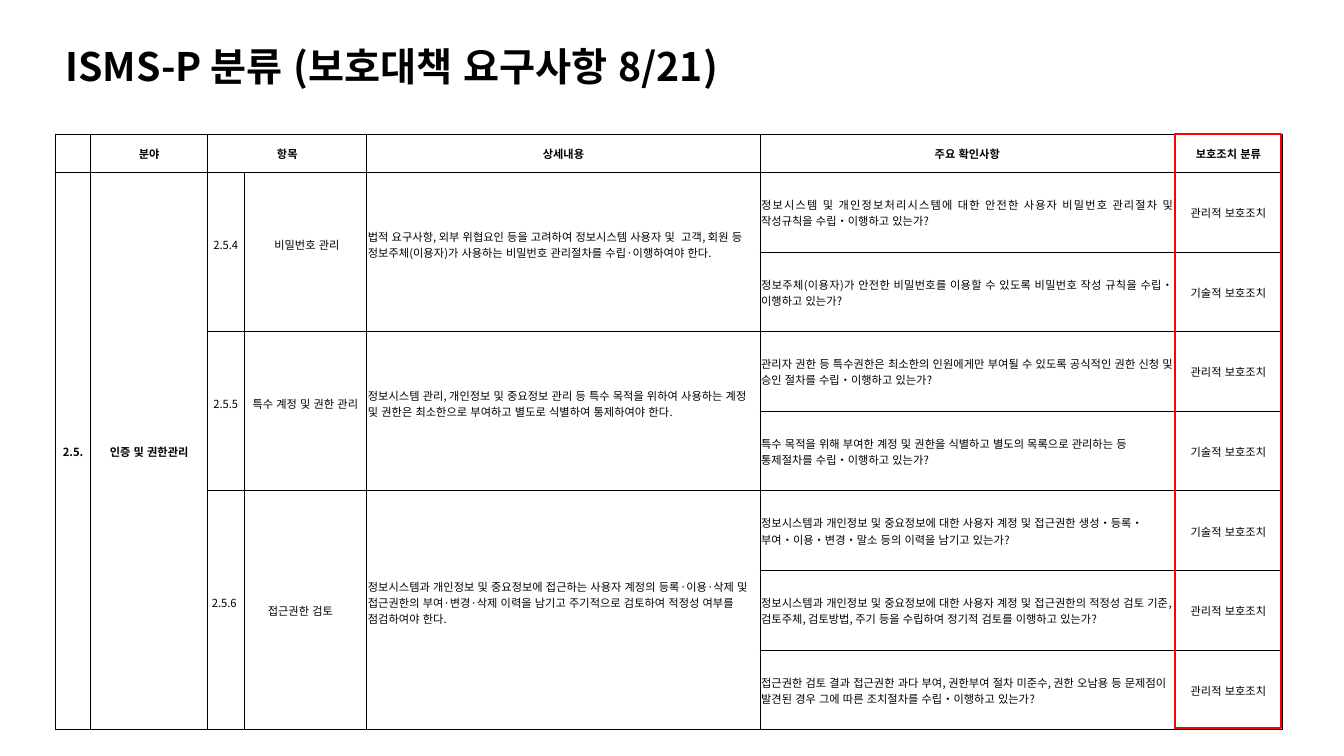
from lxml.etree import SubElement as Sub
from pptx import Presentation
from pptx.dml.color import RGBColor as Color
from pptx.enum.lang import MSO_LANGUAGE_ID as Lang
from pptx.enum.shapes import MSO_SHAPE as Shape
from pptx.enum.text import MSO_ANCHOR as Anchor, PP_ALIGN as Align
from pptx.oxml import parse_xml
from pptx.oxml.ns import nsdecls, qn
from pptx.util import Inches, Pt

BLACK = Color(0, 0, 0)
RED = Color(255, 0, 0)
FACE = "Noto Sans CJK KR"
LEFT, MID, JUST = Align.LEFT, Align.CENTER, Align.JUSTIFY
LINE = 0.16

TITLE = "ISMS-P 분류 (보호대책 요구사항 8/21)"
HEADS = {1: "분야", 2: "항목", 4: "상세내용", 5: "주요 확인사항", 6: "보호조치 분류"}
WIDTHS = [0.35, 1.16, 0.36, 1.22, 3.9, 4.11, 1.07]
HEAD_H, ROW_H = 0.38, 0.79
ADMIN, TECH = "관리적 보호조치", "기술적 보호조치"
FIELD = ["2.5.", "인증 및 권한관리"]

ITEMS = [
    {
        "cells": ["2.5.4", "비밀번호 관리",
                  "법적 요구사항, 외부 위협요인 등을 고려하여 정보시스템 사용자 및  고객, 회원 등 정보주체(이용자)가 사용하는 비밀번호 관리절차를 수립·이행하여야 한다."],
        "pads": [{}, {"left": 0.04}, {}],
        "checks": [
            ("정보시스템 및 개인정보처리시스템에 대한 안전한 사용자 비밀번호 관리절차 및 작성규칙을 수립‧이행하고 있는가?", JUST, ADMIN),
            ("정보주체(이용자)가 안전한 비밀번호를 이용할 수 있도록 비밀번호 작성 규칙을 수립‧이행하고 있는가?", JUST, TECH),
        ],
    },
    {
        "cells": ["2.5.5", "특수 계정 및 권한 관리",
                  "정보시스템 관리, 개인정보 및 중요정보 관리 등 특수 목적을 위하여 사용하는 계정 및 권한은 최소한으로 부여하고 별도로 식별하여 통제하여야 한다."],
        "pads": [{}, {}, {}],
        "checks": [
            ("관리자 권한 등 특수권한은 최소한의 인원에게만 부여될 수 있도록 공식적인 권한 신청 및 승인 절차를 수립‧이행하고 있는가?", JUST, ADMIN),
            ("특수 목적을 위해 부여한 계정 및 권한을 식별하고 별도의 목록으로 관리하는 등 통제절차를 수립‧이행하고 있는가?", LEFT, TECH),
        ],
    },
    {
        "cells": ["2.5.6", "접근권한 검토",
                  "정보시스템과 개인정보 및 중요정보에 접근하는 사용자 계정의 등록·이용·삭제 및 접근권한의 부여·변경·삭제 이력을 남기고 주기적으로 검토하여 적정성 여부를 점검하여야 한다."],
        "pads": [{"right": 0.04}, {"right": 0.11, "bottom": 0}, {}],
        "checks": [
            ("정보시스템과 개인정보 및 중요정보에 대한 사용자 계정 및 접근권한 생성‧등록‧부여‧이용‧변경‧말소 등의 이력을 남기고 있는가?", LEFT, TECH),
            ("정보시스템과 개인정보 및 중요정보에 대한 사용자 계정 및 접근권한의 적정성 검토 기준, 검토주체, 검토방법, 주기 등을 수립하여 정기적 검토를 이행하고 있는가?", LEFT, ADMIN),
            ("접근권한 검토 결과 접근권한 과다 부여, 권한부여 절차 미준수, 권한 오남용 등 문제점이 발견된 경우 그에 따른 조치절차를 수립‧이행하고 있는가?", LEFT, ADMIN),
        ],
    },
]


def write(frame, text, size, bold, align=LEFT):
    para = frame.paragraphs[0]
    para.alignment = align
    run = para.add_run()
    run.text = text
    look = {"name": FACE, "size": Pt(size), "bold": bold, "language_id": Lang.KOREAN}
    for key, val in look.items():
        setattr(run.font, key, val)
    run.font.color.rgb = BLACK
    Sub(run.font._element, qn("a:ea"), typeface=FACE)


def pad(cell, **sides):
    for side, size in sides.items():
        setattr(cell, f"margin_{side}", Inches(size))


def edge(cell, first, last):
    cell.fill.background()
    props = cell._tc.get_or_add_tcPr()
    sides = {"L": 1 if first else 0.75, "R": 1 if last else 0.75, "T": 0.75, "B": 0.75}
    for spot, (side, size) in enumerate(sides.items()):
        props.insert(spot, parse_xml(
            f'<a:ln{side} {nsdecls("a")} w="{Pt(size)}"><a:solidFill>'
            f'<a:srgbClr val="{BLACK}"/></a:solidFill></a:ln{side}>'))


def add_title(slide, box):
    frame = slide.shapes.add_textbox(*map(Inches, box)).text_frame
    frame.word_wrap = True
    write(frame, TITLE, 28, True)


def add_grid(slide, box):
    count = sum(len(item["checks"]) for item in ITEMS)
    frame = slide.shapes.add_table(count + 1, len(WIDTHS), *map(Inches, box))
    grid = frame.table
    grid.first_row = grid.horz_banding = False
    for col, width in zip(grid.columns, WIDTHS):
        col.width = Inches(width)
    for num, row in enumerate(grid.rows):
        row.height = Inches(ROW_H if num else HEAD_H)
        for col, cell in enumerate(row.cells):
            edge(cell, col == 0, col == len(WIDTHS) - 1)
            inset = 0.01 if num else 0
            pad(cell, left=inset, right=inset, top=inset, bottom=0)
            cell.vertical_anchor = Anchor.MIDDLE

    def put(row, col, text, bold=False, align=MID):
        cell = grid.cell(row, col)
        write(cell.text_frame, text, 8, bold, align)
        return cell

    grid.cell(0, 2).merge(grid.cell(0, 3))
    for col, text in HEADS.items():
        put(0, col, text, True)
    for col, text in enumerate(FIELD):
        put(1, col, text, True).merge(grid.cell(count, col))
    top = 1
    for item in ITEMS:
        end = top + len(item["checks"]) - 1
        for col, (text, sides) in enumerate(zip(item["cells"], item["pads"]), 2):
            cell = put(top, col, text, align=LEFT if col == 4 else MID)
            cell.merge(grid.cell(end, col))
            pad(cell, **{"bottom": LINE, **sides})
        for row, (text, align, kind) in enumerate(item["checks"], top):
            put(row, 5, text, align=align)
            put(row, 6, kind)
        top = end + 1


def add_mark(slide, box):
    mark = slide.shapes.add_shape(Shape.RECTANGLE, *map(Inches, box))
    mark.shadow.inherit = False
    mark.fill.background()
    mark.line.color.rgb = RED
    mark.line.width = Pt(1.5)


def main():
    deck = Presentation()
    deck.slide_width, deck.slide_height = Inches(13.33), Inches(7.5)
    slide = deck.slides.add_slide(deck.slide_layouts[6])
    add_title(slide, (0.55, 0.37, 8.73, 0.57))
    add_grid(slide, (0.55, 1.33, sum(WIDTHS), 5.91))
    add_mark(slide, (11.65, 1.33, 1.06, 5.89))
    deck.save("out.pptx")


if __name__ == "__main__":
    main()
